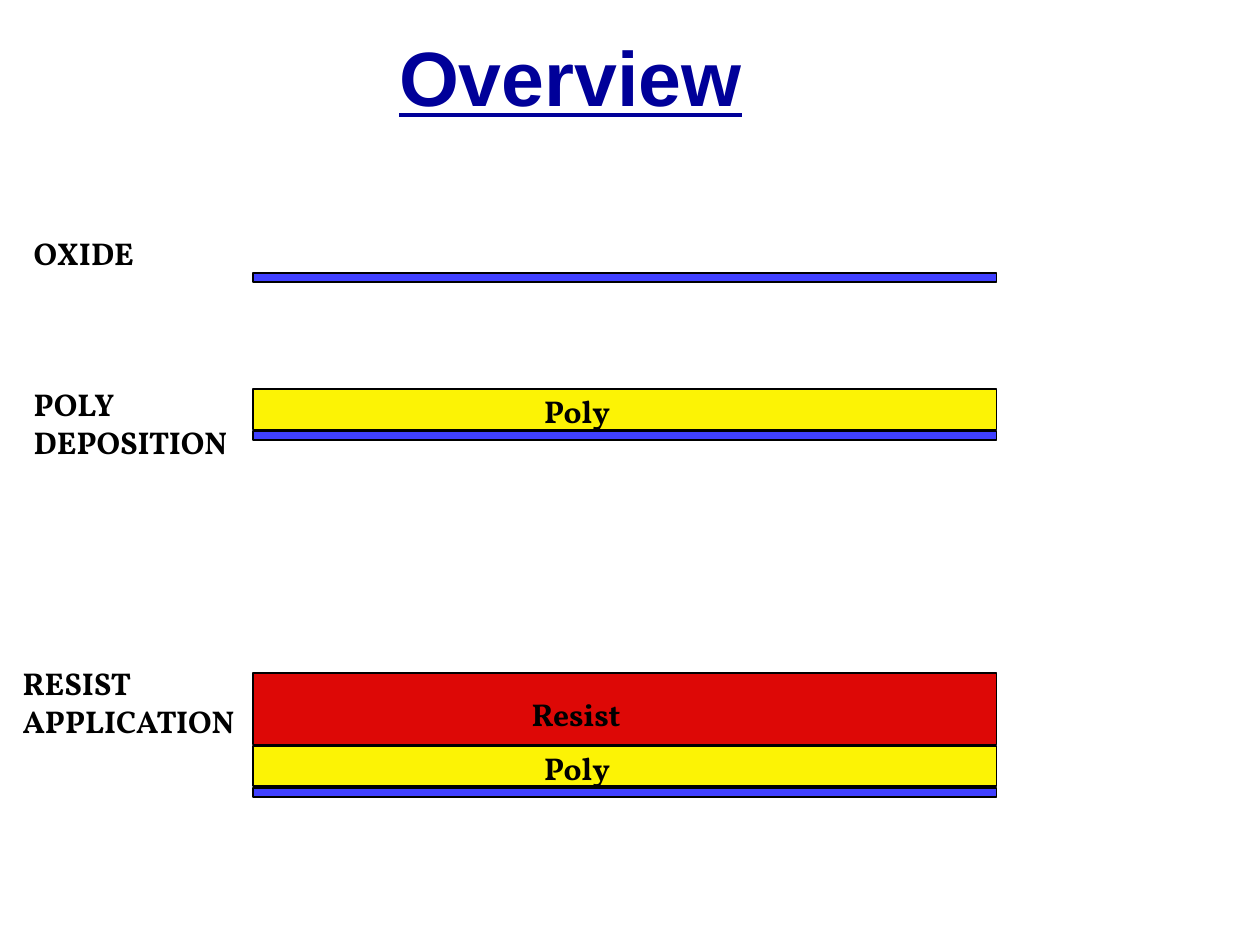
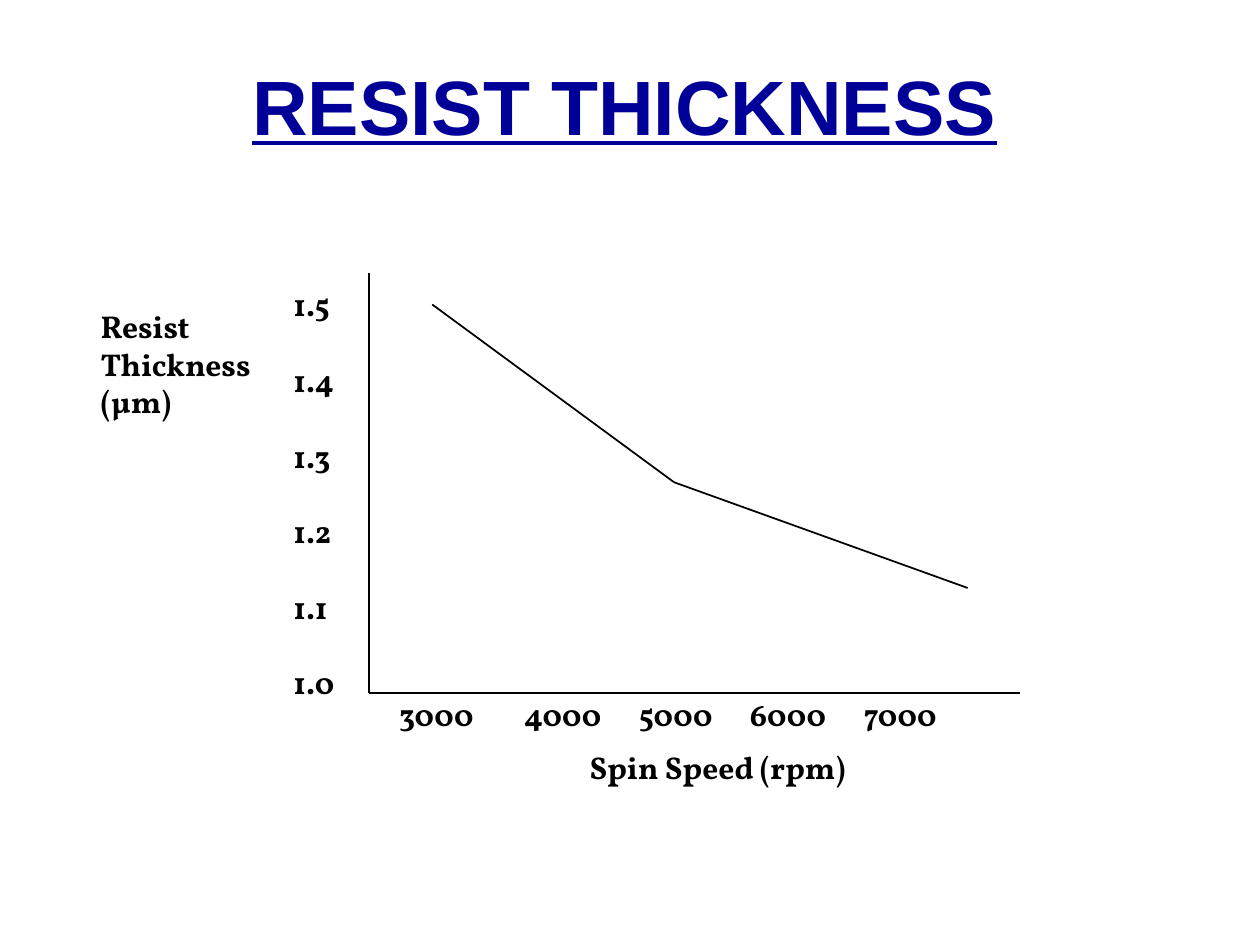
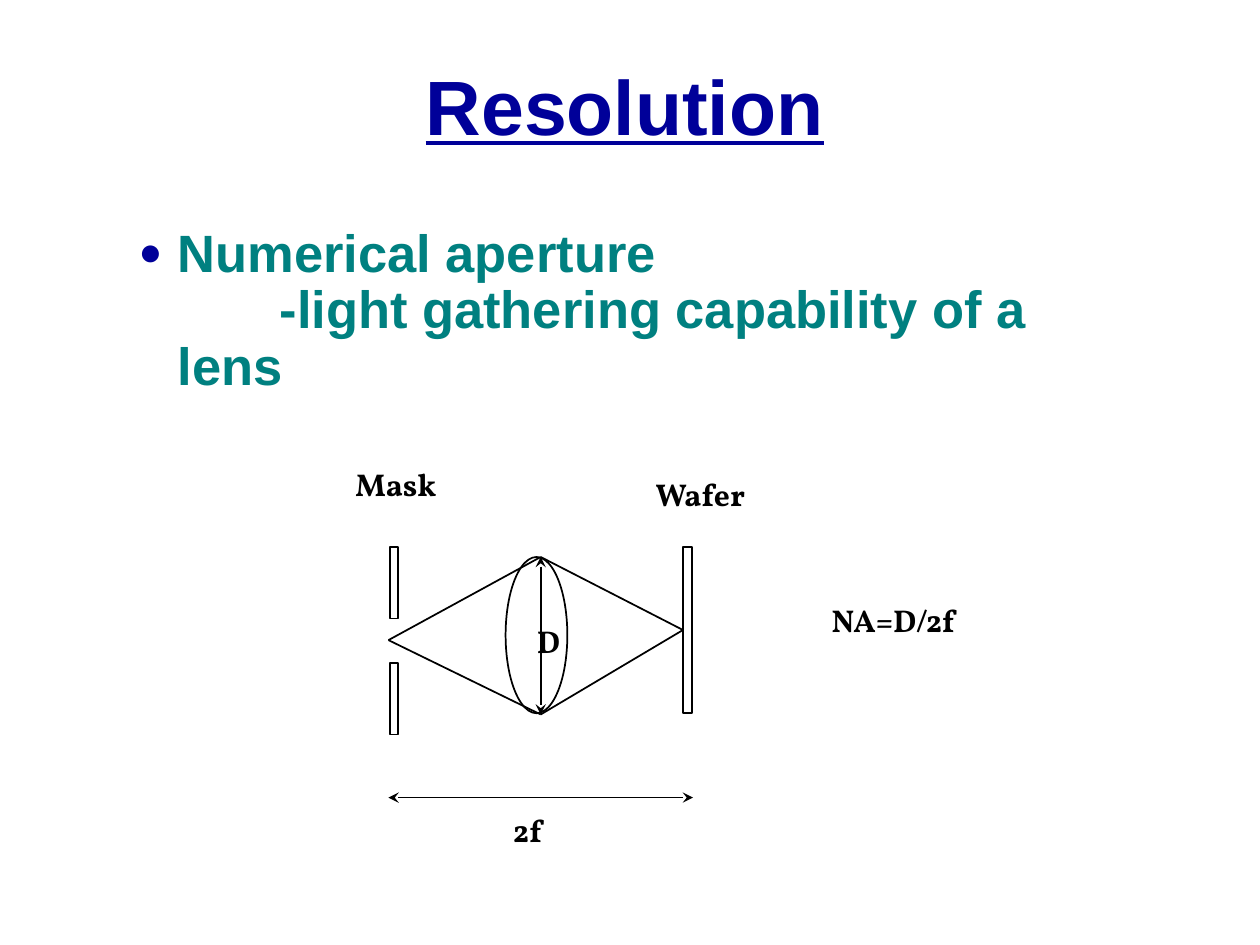
from lxml import etree
from pptx import Presentation
from pptx.dml.color import RGBColor
from pptx.enum.shapes import MSO_CONNECTOR, MSO_SHAPE
from pptx.enum.text import MSO_ANCHOR, MSO_AUTO_SIZE, PP_ALIGN
from pptx.oxml.ns import qn
from pptx.util import Pt

NAVY = RGBColor(0x00, 0x00, 0x99)
TEAL = RGBColor(0x00, 0x80, 0x80)
BLACK = RGBColor(0x00, 0x00, 0x00)
WHITE = RGBColor(0xFF, 0xFF, 0xFF)
OXIDE_BLUE = RGBColor(0x40, 0x40, 0xFF)
POLY_YELLOW = RGBColor(0xFC, 0xF3, 0x05)
RESIST_RED = RGBColor(0xDD, 0x08, 0x06)

RECTANGLE = MSO_SHAPE.RECTANGLE
OVAL = MSO_SHAPE.OVAL
STRAIGHT = MSO_CONNECTOR.STRAIGHT
LEFT, CENTER = PP_ALIGN.LEFT, PP_ALIGN.CENTER
TOP, MIDDLE = MSO_ANCHOR.TOP, MSO_ANCHOR.MIDDLE
NO_AUTOFIT = MSO_AUTO_SIZE.NONE

TITLE_ONLY, TITLE_AND_BODY = 5, 1
LEFT_SIDE = 1
LINE_HEIGHT = 28.8
LAYER_GAP = 0.9
OXIDE = (5, OXIDE_BLUE, None, None)
POLY = (23, POLY_YELLOW, "Poly", (159.2, -2.2, 54))
RESIST = (41, RESIST_RED, "Resist", (152, 9.4, 69))


def add_child(parent, tag, **attributes):
    """Append a drawing element and return it."""
    return etree.SubElement(parent, qn(tag), attributes)


def write(frame, lines, size=18, font="Vollkorn", color=BLACK, underline=False,
          align=LEFT, anchor=TOP, wrap=False, spacing=1.0, gaps=(), tabs=()):
    """Fill a text frame with one bold paragraph per line."""
    frame.word_wrap = wrap
    frame.auto_size = NO_AUTOFIT
    frame.vertical_anchor = anchor
    for index, line in enumerate(lines):
        paragraph = frame.paragraphs[0] if index == 0 else frame.add_paragraph()
        paragraph.alignment = align
        paragraph.line_spacing = spacing
        paragraph.space_before = Pt(gaps[index] if gaps else 0)
        if tabs:
            stops = add_child(paragraph._p.get_or_add_pPr(), "a:tabLst")
            for stop in tabs:
                add_child(stops, "a:tab", pos=str(Pt(stop)), algn="l")
        run = paragraph.add_run()
        run.text = line
        run.font.size = Pt(size)
        run.font.name = font
        run.font.bold = True
        run.font.underline = underline
        run.font.color.rgb = color


def add_label(slide, left, top, width, *lines, fill=None, **text_format):
    """Add a text box tall enough for its lines."""
    height = LINE_HEIGHT + 21.6 * (len(lines) - 1) + sum(text_format.get("gaps", ()))
    label = slide.shapes.add_textbox(Pt(left), Pt(top), Pt(width), Pt(height))
    if fill is not None:
        label.fill.solid()
        label.fill.fore_color.rgb = fill
    write(label.text_frame, lines, **text_format)


def add_outlined(slide, left, top, width, height, fill=WHITE, kind=RECTANGLE):
    """Add a filled shape with a thin black outline."""
    shape = slide.shapes.add_shape(kind, Pt(left), Pt(top), Pt(width), Pt(height))
    shape.shadow.inherit = False
    shape.fill.solid()
    shape.fill.fore_color.rgb = fill
    shape.line.color.rgb = BLACK
    shape.line.width = Pt(1)
    return shape


def add_line(slide, start, end, arrows=False):
    """Add a thin black line, with an arrowhead at both ends if asked."""
    line = slide.shapes.add_connector(STRAIGHT, *map(Pt, start + end))
    line.line.color.rgb = BLACK
    line.line.width = Pt(1)
    if arrows:
        for tag in ("a:headEnd", "a:tailEnd"):
            add_child(line.line._get_or_add_ln(), tag, type="stealth")
    add_child(line._element.spPr, "a:effectLst")
    return line


def place(placeholder, left, top, width, height):
    """Move and resize a placeholder."""
    placeholder.left, placeholder.top = Pt(left), Pt(top)
    placeholder.width, placeholder.height = Pt(width), Pt(height)


def add_titled_slide(deck, title, layout=TITLE_ONLY, width=642, height=90):
    """Add a slide with the shared title style."""
    slide = deck.slides.add_slide(deck.slide_layouts[layout])
    place(slide.shapes.title, 36, 18, width, height)
    write(slide.shapes.title.text_frame, [title], size=44, font="Arial", color=NAVY,
          underline=True, align=CENTER, anchor=MIDDLE, wrap=True, spacing=0.9)
    return slide


def add_layer_stack(slide, left, top, width, layers):
    """Stack the film layers downwards from the top of the box."""
    for height, color, name, label_box in layers:
        add_outlined(slide, left, top, width, height, color)
        if name:
            label_left, label_top, label_width = label_box
            add_label(slide, left + label_left, top + label_top, label_width, name,
                      fill=color if name == "Resist" else None)
        top += height + LAYER_GAP


def add_thickness_plot(slide, left, top, width, height):
    """Draw the axes, their labels and the resist thickness curve."""
    bottom = top + height
    add_line(slide, (left, top), (left, bottom))
    add_line(slide, (left, bottom), (left + width, bottom))
    curve = [(left + x, top + y) for x, y in ((36, 18), (174.2, 119.6), (342, 180))]
    for start, end in zip(curve, curve[1:]):
        add_line(slide, start, end)
    thicknesses = [f"{tenths / 10:.1f}" for tenths in range(15, 9, -1)]
    add_label(slide, left - 50.4, top + 3.6, 40.3, *thicknesses,
              gaps=[0] + [21.6] * (len(thicknesses) - 1))
    speeds = "\t".join(str(speed) for speed in range(3000, 8000, 1000))
    add_label(slide, left + 10, bottom - 2.2, 338, speeds, wrap=True,
              tabs=(71.4, 137, 200.5, 265.6))
    add_label(slide, left + 118.8, bottom + 28, 172, "Spin Speed (rpm)")
    add_label(slide, left - 160.6, top + 15.8, 110, "Resist", "Thickness", "(µm)")


def add_bullet_text(body, heading, detail):
    """Write a bulleted heading and an indented explanation below it."""
    write(body.text_frame, [heading, detail], size=30, font="Arial", color=TEAL,
          wrap=True, spacing=0.9)
    for paragraph, indent in zip(body.text_frame.paragraphs, (-22.3, 58.3)):
        properties = paragraph._p.get_or_add_pPr()
        properties.set("marL", str(Pt(22.3)))
        properties.set("indent", str(Pt(indent)))
        if indent < 0:
            bullet_color = add_child(properties, "a:buClr")
            add_child(bullet_color, "a:srgbClr", val=str(NAVY))
            add_child(properties, "a:buSzPct", val="75000")
            add_child(properties, "a:buChar", char="●")
        else:
            add_child(properties, "a:buNone")


def add_lens_diagram(slide, left, top, width, height):
    """Draw the light path from the mask through the lens to the wafer."""
    plate = 5
    opening = (left, top + 53.3)
    lens_top = (left + width / 2, top + 5.8)
    lens_bottom = (left + width / 2, top + 95.8)
    wafer_left = left + width - plate - 0.7
    add_outlined(slide, left + 66.9, top + 5.8, 35.3, 89.3, kind=OVAL)
    wafer = add_outlined(slide, wafer_left, top, plate, 95)
    for mask_top in (top, top + height - 41):
        add_outlined(slide, left + 0.7, mask_top, plate, 41)
    for lens_edge in (lens_top, lens_bottom):
        add_line(slide, opening, lens_edge)
        ray = add_line(slide, lens_edge, (wafer_left, top + 47.5))
        ray.end_connect(wafer, LEFT_SIDE)
    focus_y = top + height + 36
    add_line(slide, (left, focus_y), (left + width, focus_y), arrows=True)
    add_line(slide, lens_top, lens_bottom, arrows=True)
    add_label(slide, left + 77.8, top + 39.6, 28, "D")
    add_label(slide, left + 64, focus_y + 4.3, 32, "2f")
    add_label(slide, left - 26, top - 50.4, 63, "Mask")
    add_label(slide, left + 145.5, top - 44.6, 71, "Wafer")
    add_label(slide, left + 246.2, top + 27.4, 89, "NA=D/2f")


def build_overview(deck):
    """Show the film stack after each process step."""
    slide = add_titled_slide(deck, "Overview", width=580, height=57)
    for top, layers in ((156.2, [OXIDE]), (222.5, [POLY, OXIDE]),
                        (384.5, [RESIST, POLY, OXIDE])):
        add_layer_stack(slide, 144.7, top, 424.8, layers)
    add_label(slide, 12.2, 130.3, 131, "OXIDE", "POLY", "DEPOSITION", gaps=(0, 64.8, 0))
    add_label(slide, 5.8, 375.8, 143, "RESIST", "APPLICATION")


def build_thickness(deck):
    """Show resist thickness against spin speed."""
    slide = add_titled_slide(deck, "RESIST THICKNESS")
    add_thickness_plot(slide, 211, 156, 372, 240)


def build_resolution(deck):
    """Explain numerical aperture with a lens diagram."""
    slide = add_titled_slide(deck, "Resolution", layout=TITLE_AND_BODY)
    body = slide.placeholders[1]
    place(body, 72, 126, 564, 324)
    add_bullet_text(body, "Numerical aperture", "-light gathering capability of a lens")
    add_lens_diagram(slide, 222, 312.5, 174, 107.3)


def main():
    """Build the deck and save it."""
    deck = Presentation()
    deck.slide_width, deck.slide_height = Pt(720), Pt(540)
    for build in (build_overview, build_thickness, build_resolution):
        build(deck)
    deck.save("out.pptx")


if __name__ == "__main__":
    main()
